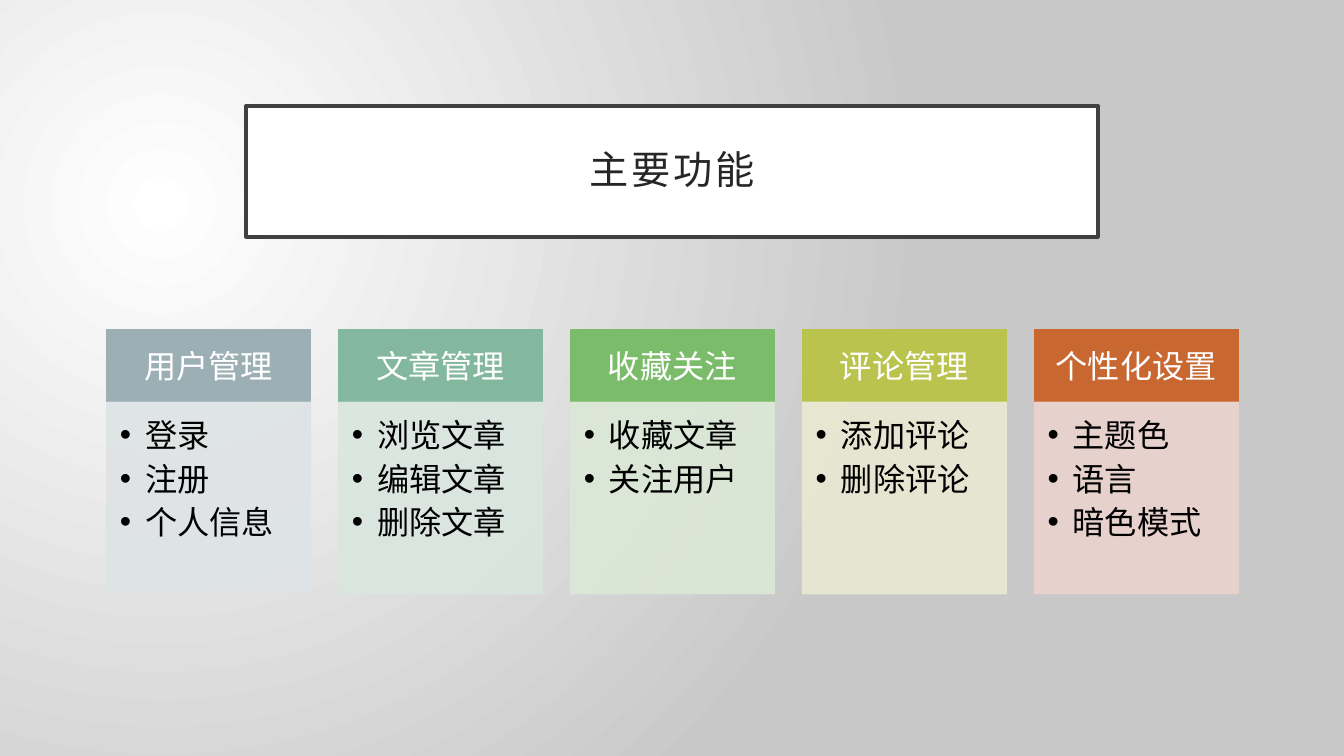
import pptx
import pptx.util
import pptx.dml.color
import pptx.enum.shapes
import pptx.enum.text
import pptx.oxml
import pptx.oxml.ns
from lxml import etree

SLIDE_WIDTH, SLIDE_HEIGHT = 13.33, 7.5
FONT = "Cabin"
TITLE_BOX = (2.44, 1.05, 8.45, 1.3)
FEATURES_BOX = (1.06, 3.27, 11.22, 2.62)
COLUMN_GAP = 0.28
HEADING_SHARE = 0.275
FEATURES = [
    ("用户管理", "9BAFB5", "DEE3E5", ["登录", "注册", "个人信息"]),
    ("文章管理", "83B79E", "DAE6E0", ["浏览文章", "编辑文章", "删除文章"]),
    ("收藏关注", "7ABC69", "DBE8D6", ["收藏文章", "关注用户"]),
    ("评论管理", "BAC34D", "E9E9D2", ["添加评论", "删除评论"]),
    ("个性化设置", "C96731", "EBD3CD", ["主题色", "语言", "暗色模式"]),
]
ALIGN = pptx.enum.text.PP_ALIGN
ANCHOR = pptx.enum.text.MSO_ANCHOR


def color(hex_value):
    return pptx.dml.color.RGBColor.from_string(hex_value)


def inches(values):
    return [pptx.util.Inches(value) for value in values]


def paint(shape, fill, line, width):
    shape.fill.solid()
    shape.fill.fore_color.rgb = color(fill)
    shape.line.color.rgb = color(line)
    shape.line.width = pptx.util.Pt(width)


def set_frame(frame, insets, anchor):
    frame.word_wrap = True
    frame.auto_size = pptx.enum.text.MSO_AUTO_SIZE.NONE
    frame.vertical_anchor = anchor
    (frame.margin_left, frame.margin_top,
     frame.margin_right, frame.margin_bottom) = inches(insets)


def add_run(paragraph, text, size, hex_value):
    run = paragraph.add_run()
    run.text = text
    run.font.name = FONT
    run.font.size = pptx.util.Pt(size)
    run.font.color.rgb = color(hex_value)
    return run


def add_background(slide):
    fill = slide.background.fill
    fill.gradient()
    for stop, position, shade in zip(fill.gradient_stops, (0, 1), ("FFFFFF", "C8C8C8")):
        stop.position = position
        stop.color.rgb = color(shade)
    qn = pptx.oxml.ns.qn
    gradient = slide.element.find(".//" + qn("a:gradFill"))
    linear = gradient.find(qn("a:lin"))
    radial = etree.Element(qn("a:path"), path="circle")
    etree.SubElement(radial, qn("a:fillToRect"),
                     l="50000", t="55000", r="125000", b="100000")
    gradient.replace(linear, radial)


def add_title(slide, box):
    title = slide.shapes.title
    title.left, title.top, title.width, title.height = inches(box)
    paint(title, "FFFFFF", "404040", 2.5)
    set_frame(title.text_frame, (0.2, 0.2, 0.2, 0.2), ANCHOR.MIDDLE)
    paragraph = title.text_frame.paragraphs[0]
    paragraph.alignment = ALIGN.CENTER
    paragraph.line_spacing = 0.9
    run = add_run(paragraph, "主要功能", 28, "262626")
    run.font._element.set("spc", "200")


def add_panel(slide, box, fill, insets, anchor):
    panel = slide.shapes.add_shape(
        pptx.enum.shapes.MSO_SHAPE.RECTANGLE, *inches(box))
    panel.shadow.inherit = False
    paint(panel, fill, fill, 1)
    set_frame(panel.text_frame, insets, anchor)
    return panel


def add_bullet(paragraph):
    qn = pptx.oxml.ns.qn
    properties = paragraph._p.get_or_add_pPr()
    indent = pptx.util.Inches(0.25)
    properties.set("marL", str(indent))
    properties.set("indent", str(-indent))
    etree.SubElement(properties, qn("a:buFont"), typeface="Arial")
    etree.SubElement(properties, qn("a:buChar"), char="•")


def add_feature(slide, box, heading, heading_fill, list_fill, items):
    left, top, width, height = box
    heading_height = height * HEADING_SHARE
    header = add_panel(slide, (left, top, width, heading_height), heading_fill,
                       (0.18, 0.1, 0.18, 0.1), ANCHOR.MIDDLE)
    paragraph = header.text_frame.paragraphs[0]
    paragraph.alignment = ALIGN.CENTER
    add_run(paragraph, heading, 23, "FFFFFF")

    details = add_panel(
        slide, (left, top + heading_height, width, height - heading_height),
        list_fill, (0.13, 0.13, 0.18, 0.2), ANCHOR.TOP)
    qn = pptx.oxml.ns.qn
    for tint in details._element.spPr.iter(qn("a:srgbClr")):
        etree.SubElement(tint, qn("a:alpha"), val="90000")
    frame = details.text_frame
    for index, item in enumerate(items):
        paragraph = frame.add_paragraph() if index else frame.paragraphs[0]
        paragraph.alignment = ALIGN.LEFT
        paragraph.level = 1
        paragraph.space_after = pptx.util.Pt(3.5)
        add_bullet(paragraph)
        add_run(paragraph, item, 23, "000000")


def add_features(slide, box):
    left, top, width, height = box
    count = len(FEATURES)
    column_width = (width - COLUMN_GAP * (count - 1)) / count
    for index, feature in enumerate(FEATURES):
        column_left = left + index * (column_width + COLUMN_GAP)
        add_feature(slide, (column_left, top, column_width, height), *feature)


def main():
    presentation = pptx.Presentation()
    presentation.slide_width, presentation.slide_height = inches(
        (SLIDE_WIDTH, SLIDE_HEIGHT))
    slide = presentation.slides.add_slide(presentation.slide_layouts[5])
    add_background(slide)
    add_title(slide, TITLE_BOX)
    add_features(slide, FEATURES_BOX)
    presentation.save("out.pptx")


if __name__ == "__main__":
    main()
